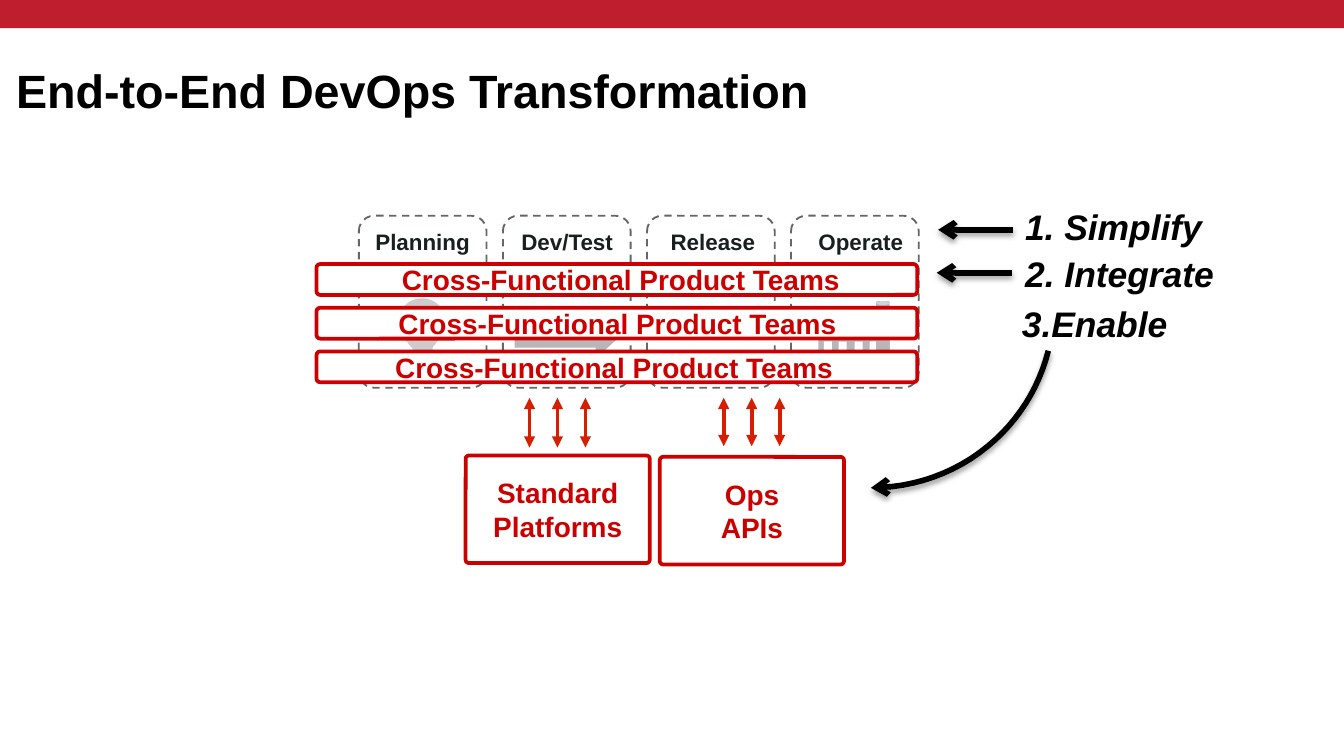
from lxml import etree
from pptx import Presentation
from pptx.dml.color import RGBColor
from pptx.enum.dml import MSO_LINE
from pptx.enum.shapes import MSO_CONNECTOR, MSO_SHAPE
from pptx.enum.text import MSO_ANCHOR, MSO_AUTO_SIZE, PP_ALIGN
from pptx.oxml import parse_xml
from pptx.oxml.ns import nsdecls, qn
from pptx.util import Inches, Pt

RECT, ROUND = MSO_SHAPE.RECTANGLE, MSO_SHAPE.ROUNDED_RECTANGLE
OVAL, ARROW = MSO_SHAPE.OVAL, MSO_SHAPE.RIGHT_ARROW
STRAIGHT, DASH = MSO_CONNECTOR.STRAIGHT, MSO_LINE.DASH
TOP, MIDDLE, BOTTOM = MSO_ANCHOR.TOP, MSO_ANCHOR.MIDDLE, MSO_ANCHOR.BOTTOM
LEFT, CENTER = PP_ALIGN.LEFT, PP_ALIGN.CENTER
FIXED = MSO_AUTO_SIZE.NONE

BAND = RGBColor(0xBF, 0x1E, 0x2E)
RED = RGBColor(0xCC, 0x00, 0x00)
FLAME = RGBColor(0xD8, 0x1E, 0x00)
BLACK = RGBColor(0x00, 0x00, 0x00)
INK = RGBColor(0x19, 0x1E, 0x1E)
SLATE = RGBColor(0x66, 0x66, 0x66)
GRAY = RGBColor(0xB7, 0xB7, 0xB7)
PALE = RGBColor(0xCC, 0xCC, 0xCC)
WHITE = RGBColor(0xFF, 0xFF, 0xFF)

prs = Presentation()
prs.slide_width = Inches(10)
prs.slide_height = prs.slide_width * 9 // 16
U = prs.slide_width // 100  # one grid column or row
slide = prs.slides.add_slide(prs.slide_layouts[5])
shapes = slide.shapes


def box(kind, x, y, w, h, fill=None, line=None, width=2, adj=None):
    shape = shapes.add_shape(kind, *(round(v * U) for v in (x, y, w, h)))
    shape.shadow.inherit = False
    if fill is None:
        shape.fill.background()
    else:
        shape.fill.solid()
        shape.fill.fore_color.rgb = fill
    if line is None:
        shape.line.fill.background()
    else:
        shape.line.color.rgb = line
        shape.line.width = Pt(width)
    for i, v in enumerate(adj or []):
        shape.adjustments[i] = v
    return shape


def label(text, x, y, w, h, size, color, anchor=MIDDLE, italic=None):
    area = shapes.add_textbox(*(round(v * U) for v in (x, y, w, h)))
    frame = area.text_frame
    frame.word_wrap = True
    frame.vertical_anchor = anchor
    frame.margin_left = frame.margin_right = Inches(0.07)
    frame.margin_top = frame.margin_bottom = Inches(0.07)
    frame.text = text
    for para in frame.paragraphs:
        para.alignment = CENTER
        font = para.font
        font.name, font.size, font.bold = "Arial", Pt(size), True
        font.italic = italic
        font.color.rgb = color


# Header band and title
box(RECT, -0.1, -0.1, 100.3, 2.2, BAND)
title = shapes.title
title.left, title.top = round(0.2 * U), round(2.95 * U)
title.width, title.height = 90 * U, round(6.8 * U)
frame = title.text_frame
frame.text = "End-to-End DevOps Transformation"
frame.auto_size = FIXED
frame.vertical_anchor = BOTTOM
frame.margin_left = frame.margin_right = Inches(0.1)
frame.margin_top = frame.margin_bottom = Inches(0.1)
para = frame.paragraphs[0]
para.alignment = LEFT
para.font.name, para.font.size, para.font.bold = "Arial", Pt(25), True
para.font.color.rgb = BLACK

# Factory, pin and arrow icons
box(RECT, 60.9, 25, 4, 2.7, GRAY)
box(RECT, 64.7, 25, 1.5, 2.7, GRAY)
for x in (61.3, 62.4, 63.6, 64.7):
    box(RECT, x, 25.4, 0.6, 1, WHITE)
box(OVAL, 29.6, 22.2, 3.6, 3.6, PALE)
box(RECT, 30.7, 25.8, 1.5, 0.9, PALE)
box(ARROW, 38.3, 23.4, 7.8, 3.3, GRAY, adj=(0.5, 0.54))

# Outlines: start, segments of one point (line) or three (Bezier), fill
roof = ((64.8, 25.4), [[(62.1, 25.4)], [(64.8, 23.6)]], GRAY)
stack = ((65.2, 22.5), [
    [(65.2, 22.4), (65.4, 22.4), (65.7, 22.4)],
    [(66, 22.4), (66.2, 22.4), (66.2, 22.5)],
    [(66.2, 27.6)],
    [(66.2, 27.7), (66, 27.8), (65.7, 27.8)],
    [(65.4, 27.8), (65.2, 27.7), (65.2, 27.6)]], GRAY)
heart = ((31.4, 24.7), [
    [(32, 23.2), (34.1, 24.7), (31.4, 26.5)],
    [(28.7, 24.7), (30.9, 23.2), (31.4, 24.7)]], PALE)
sweep = ((78, 26.1), [
    [(77.3, 28.9), (75.7, 31.4), (73.5, 33.2)],
    [(71.1, 35.2), (68, 36.3), (64.8, 36.3)]], None)
STEPS = 12
for start, parts, fill in (roof, stack, heart, sweep):
    pts = [start]
    for part in parts:
        if len(part) == 1:
            pts += part
            continue
        a, (b, c, d) = pts[-1], part
        for n in range(1, STEPS + 1):
            t = n / STEPS
            s = 1 - t
            pts.append(tuple(
                s**3 * a[k] + 3 * s * s * t * b[k]
                + 3 * s * t * t * c[k] + t**3 * d[k] for k in (0, 1)))
    spots = [(round(x * U), round(y * U)) for x, y in pts]
    trace = shapes.build_freeform(*spots[0])
    trace.add_line_segments(spots[1:], close=fill is not None)
    shape = trace.convert_to_shape()
    shape.shadow.inherit = False
    if fill is None:
        shape.fill.background()
        curve = shape
    else:
        shape.fill.solid()
        shape.fill.fore_color.rgb = fill
        shape.line.fill.background()
lid = box(OVAL, 65.2, 22.4, 1, 0.3, WHITE)
tint = lid.fill._xPr.find(".//" + qn("a:srgbClr"))
etree.SubElement(tint, qn("a:alpha"), val="40000")

# Dashed stages
STAGES = [("Planning", 31.45), ("Dev/Test", 42.2),
          ("Release", 53.05), ("Operate", 64.05)]
for i, (name, mid) in enumerate(STAGES):
    stage = box(ROUND, 26.7 + 10.72 * i, 16.05, 9.5, 12.8,
                line=SLATE, width=1, adj=[0.12])
    stage.line.dash_style = DASH
    label(name, mid - 5, 16.25, 10, 3.4, 12, INK, TOP)

# Team bars
for i in range(3):
    box(ROUND, 23.55, 19.65 + 3.25 * i, 44.7, 2.3, WHITE, RED, adj=[0.12])
    label("Cross-Functional Product Teams", 23.7 - 0.25 * i,
          18.9 + 3.27 * i, 45, 3.8, 15, RED)

# Platform boxes
for text, x, y in (("Standard Platforms", 34.65, 33.9),
                   ("Ops\nAPIs", 49.1, 34)):
    box(ROUND, x, y, 13.7, 8, WHITE, RED, adj=[0.03])
    label(text, x - 0.1, y + 0.9, 13.9, 6.2, 15, RED)

# Steps
for text, x, y, w in (("1. Simplify", 74.75, 14.55, 16.2),
                      ("2. Integrate", 75.2, 18.05, 16.2),
                      ("3.Enable", 75.15, 21.8, 12.6)):
    label(text, x, y, w, 4.5, 19, BLACK, italic=True)

# Arrows
routes = [(75.4, 17.1, 69.8, 17.1), (75.3, 20.3, 69.7, 20.3)]
for x, end in ((39.4, 33.3), (53.85, 33.2)):
    routes += [(x + 2.08 * i, 29.6, x + 2.08 * i, end) for i in range(3)]
links = [shapes.add_connector(STRAIGHT, *(round(v * U) for v in route))
         for route in routes]
SHADOW = (f'<a:effectLst {nsdecls("a")}><a:outerShdw blurRad="38100" '
          'dist="20320" dir="5400000" rotWithShape="0"><a:srgbClr val="000000">'
          '<a:alpha val="38000"/></a:srgbClr></a:outerShdw></a:effectLst>')
for i, link in enumerate([curve] + links):
    step = i < 3
    link.line.color.rgb = BLACK if step else FLAME
    link.line.width = Pt(3 if step else 2)
    ln = link.line._get_or_add_ln()
    if not step:
        etree.SubElement(ln, qn("a:headEnd"), type="triangle")
    etree.SubElement(ln, qn("a:tailEnd"), type="arrow" if step else "triangle")
    props = link._element.spPr
    for old in props.findall(qn("a:effectLst")):
        props.remove(old)
    props.append(parse_xml(SHADOW if step else f'<a:effectLst {nsdecls("a")}/>'))

prs.save("out.pptx")
